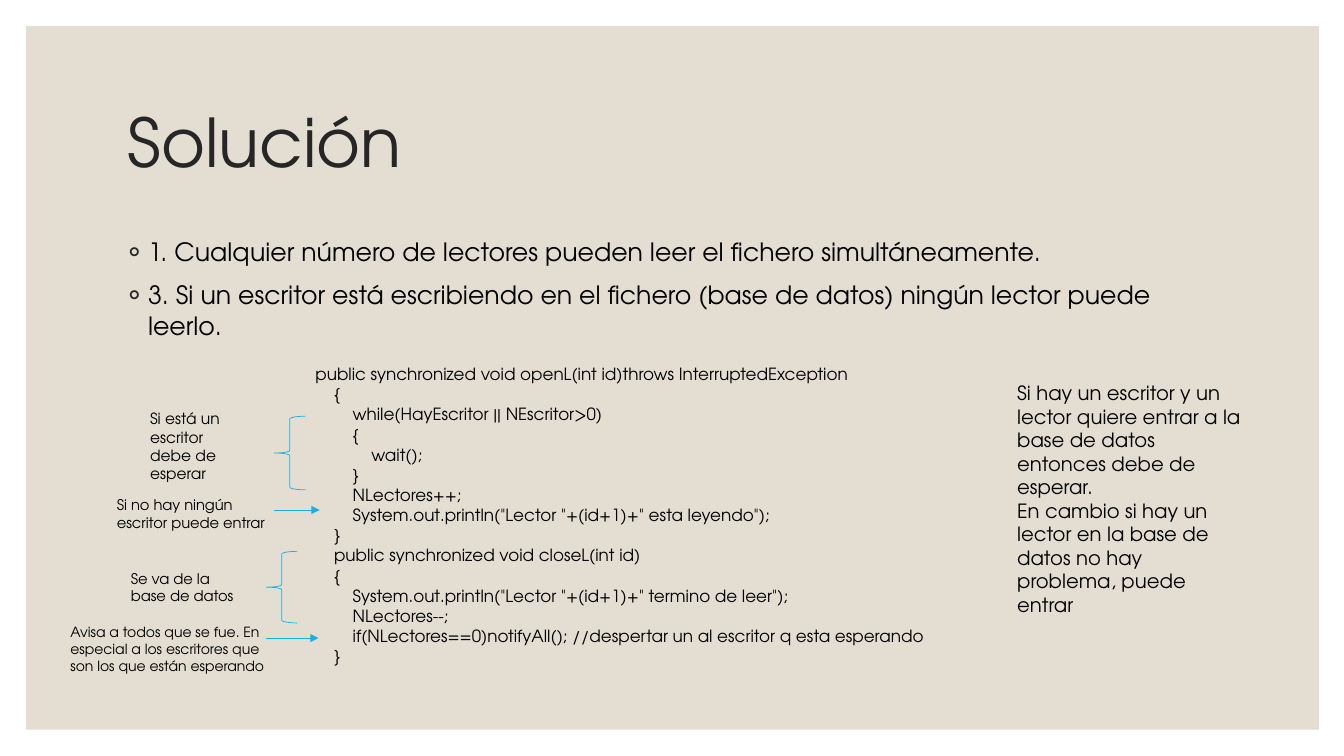
from lxml import etree
from pptx import Presentation
from pptx.dml.color import RGBColor
from pptx.enum.shapes import MSO_CONNECTOR, MSO_SHAPE
from pptx.enum.text import MSO_ANCHOR
from pptx.oxml.ns import qn
from pptx.util import Inches, Pt

FONT = "TeX Gyre Adventor"
SAND = RGBColor(0xE3, 0xDE, 0xD1)
CHARCOAL = RGBColor(0x26, 0x26, 0x26)
BLACK = RGBColor(0, 0, 0)
BLUE = RGBColor(0x1C, 0xAD, 0xE4)

RULES = [
    "1. Cualquier número de lectores pueden leer el fichero simultáneamente.",
    "3. Si un escritor está escribiendo en el fichero (base de datos) ningún lector puede leerlo.",
]
# Indent level and text of each line
CODE = [
    (0, "public synchronized void openL(int id)throws InterruptedException"),
    (1, "{"),
    (2, "while(HayEscritor || NEscritor>0)"),
    (2, "{"),
    (3, "wait();"),
    (2, "}"),
    (2, "NLectores++;"),
    (2, 'System.out.println("Lector "+(id+1)+" esta leyendo");'),
    (1, "}"),
    (1, "public synchronized void closeL(int id)"),
    (1, "{"),
    (2, 'System.out.println("Lector "+(id+1)+" termino de leer");'),
    (2, "NLectores--;"),
    (2, "if(NLectores==0)notifyAll(); //despertar un al escritor q esta esperando"),
    (1, "}"),
]
CODE_INDENT = 0.185
SUMMARY = [
    "Si hay un escritor y un lector quiere entrar a la base de datos entonces debe de esperar.",
    "En cambio si hay un lector en la base de datos no hay problema, puede entrar",
]
# Text, size, text box, then the marker function's name and its box
NOTES = [
    ("Si está un escritor debe de esperar", 11, (1.39, 4.01, 1.14, 0.84),
     "brace", (2.72, 4.13, 0.31, 0.73)),
    ("Si no hay ningún escritor puede entrar", 10.5, (1.06, 4.87, 1.82, 0.45),
     "arrow", (2.72, 5.06, 0.45, 0)),
    ("Se va de la base de datos", 10.5, (1.2, 5.6, 1.32, 0.45),
     "brace", (2.64, 5.47, 0.31, 0.71)),
    ("Avisa a todos que se fue. En especial a los escritores que son los que están esperando",
     10, (0.6, 6.14, 2.26, 0.61), "arrow", (2.64, 6.33, 0.52, 0)),
]


def add_text(s, box, lines, size, color=BLACK, anchor=MSO_ANCHOR.TOP, **spacing):
    """Add a text box with one paragraph per line and return the paragraphs."""
    tf = s.shapes.add_textbox(*map(Inches, box)).text_frame
    tf.word_wrap = True
    tf.vertical_anchor = anchor
    for i, line in enumerate(lines):
        p = tf.paragraphs[0] if i == 0 else tf.add_paragraph()
        for name, value in spacing.items():
            setattr(p, name, value)
        r = p.add_run()
        r.text = line
        for name, value in {"name": FONT, "size": Pt(size)}.items():
            setattr(r.font, name, value)
        r.font.color.rgb = color
    return tf.paragraphs


def set_indent(p, left, first=0):
    pPr = p._p.get_or_add_pPr()
    pPr.set("marL", str(Inches(left)))
    pPr.set("indent", str(Inches(first)))
    return pPr


def add_background(s, box):
    sp = s.shapes.add_shape(MSO_SHAPE.RECTANGLE, *map(Inches, box))
    sp.shadow.inherit = False
    sp.fill.solid()
    sp.fill.fore_color.rgb = SAND
    sp.line.fill.background()


def add_rules(s, box):
    for p in add_text(s, box, RULES, 18, space_before=Pt(9)):
        pPr = set_indent(p, 0.2, -0.2)
        color = etree.SubElement(pPr, qn("a:buClr"))
        etree.SubElement(color, qn("a:srgbClr"), val=str(CHARCOAL))
        etree.SubElement(pPr, qn("a:buFont"), typeface=FONT)
        etree.SubElement(pPr, qn("a:buChar"), char="◦")


def add_code(s, box):
    levels, lines = zip(*CODE)
    for p, level in zip(add_text(s, box, lines, 12), levels):
        set_indent(p, level * CODE_INDENT)


def style_line(line):
    line.color.rgb = BLUE
    line.width = Pt(0.5)


def add_brace(s, box):
    sp = s.shapes.add_shape(MSO_SHAPE.LEFT_BRACE, *map(Inches, box))
    sp.shadow.inherit = False
    sp.fill.background()
    style_line(sp.line)


def add_arrow(s, box):
    x, y, w, h = map(Inches, box)
    cxn = s.shapes.add_connector(MSO_CONNECTOR.STRAIGHT, x, y, x + w, y + h)
    style_line(cxn.line)
    etree.SubElement(cxn.line._get_or_add_ln(), qn("a:tailEnd"), type="triangle")
    etree.SubElement(cxn._element.spPr, qn("a:effectLst"))


def add_notes(s):
    markers = {"brace": add_brace, "arrow": add_arrow}
    for text, size, box, marker, marker_box in NOTES:
        add_text(s, box, [text], size)
        markers[marker](s, marker_box)


def main():
    prs = Presentation()
    prs.slide_width, prs.slide_height = Inches(13.33), Inches(7.5)
    s = prs.slides.add_slide(prs.slide_layouts[6])
    add_background(s, (0.26, 0.26, 12.82, 6.98))
    add_text(s, (1.17, 0.7, 11, 1.5), ["Solución"], 48, CHARCOAL,
             MSO_ANCHOR.MIDDLE, line_spacing=0.9)
    add_rules(s, (1.17, 2.3, 11, 1.2))
    add_code(s, (3.03, 3.56, 6.43, 3.13))
    add_text(s, (9.99, 3.73, 2.47, 2.46), SUMMARY, 14)
    add_notes(s)
    prs.save("out.pptx")


if __name__ == "__main__":
    main()
